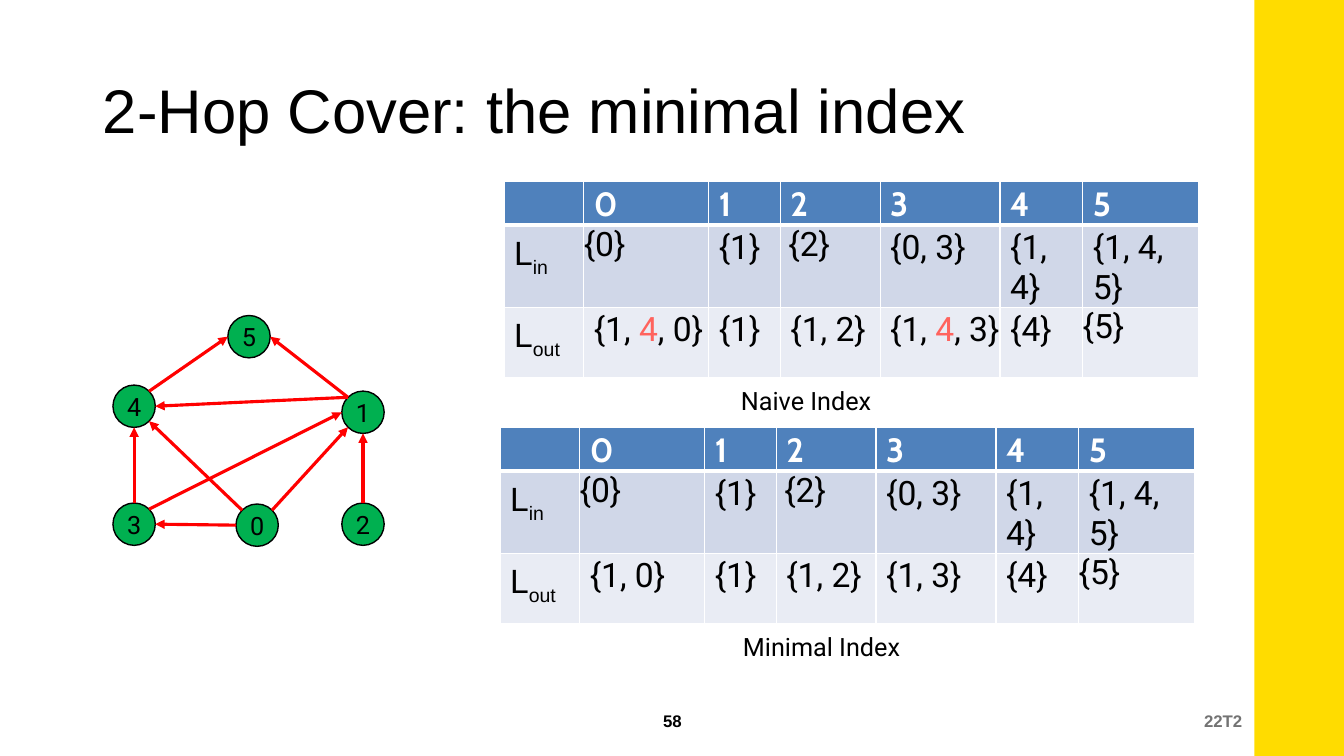
import math
from dataclasses import dataclass
from typing import NamedTuple

from lxml import etree
from pptx import Presentation
from pptx.dml import color
from pptx.enum import shapes, text
from pptx.oxml import ns

PX = 9144
PT = 12700


@dataclass(frozen=True)
class Theme:
    yellow: str = "FFDC00"
    grey: str = "737373"
    black: str = "000000"
    white: str = "FFFFFF"
    green: str = "00B050"
    red: str = "FF0000"
    accent: str = "FF635D"
    header: str = "4F81BC"
    band_in: str = "D0D7E8"
    band_out: str = "E9ECF4"
    sans: str = "Arial"
    body: str = "Roboto"
    heading: str = "Cabin"
    title_size: int = 44
    table_size: int = 24
    label_size: int = 18
    footer_size: int = 12


T = Theme()


class Run(NamedTuple):
    text: str
    font: str = T.body
    size: int = T.table_size
    color: str = T.black
    bold: bool = False
    baseline: int = 0


class Box(NamedTuple):
    left: int
    top: int
    width: int
    height: int

    def emu(self) -> list[int]:
        return [v * PX for v in self]


class Cell(NamedTuple):
    runs: list[Run]
    left: int = 10
    top: int = 3


class Label(NamedTuple):
    run: Run
    box: Box
    align: text.PP_ALIGN
    anchor: text.MSO_ANCHOR


class Index(NamedTuple):
    box: Box
    out_0: list[Run]
    out_3: list[Run]


class Node(NamedTuple):
    left: int
    top: int

    def site(self, k: int) -> tuple[int, int]:
        angle = math.radians(90 + 45 * k)
        r = DIAMETER / 2
        return (round((self.left + r + r * math.cos(angle)) * PX),
                round((self.top + r - r * math.sin(angle)) * PX))


class Edge(NamedTuple):
    start: int
    start_site: int
    end: int
    end_site: int


DIAMETER = 42
TOP, TOP_LEFT, LEFT, BOTTOM_LEFT, BOTTOM, BOTTOM_RIGHT, RIGHT, TOP_RIGHT = range(8)
NODES = [Node(234, 500), Node(339, 388), Node(339, 499),
         Node(112, 499), Node(112, 382), Node(226, 313)]
EDGES = [
    Edge(0, LEFT, 3, RIGHT),
    Edge(0, TOP_LEFT, 4, BOTTOM_RIGHT),
    Edge(0, TOP_RIGHT, 1, BOTTOM_LEFT),
    Edge(1, TOP_LEFT, 4, RIGHT),
    Edge(1, TOP_LEFT, 5, RIGHT),
    Edge(2, TOP, 1, BOTTOM),
    Edge(3, TOP, 4, BOTTOM),
    Edge(3, TOP_RIGHT, 1, LEFT),
    Edge(4, TOP_RIGHT, 5, LEFT),
]
COLUMNS = [79, 124, 71, 99, 119, 82, 115]
ROWS = [40, 52, 70]
FILLS = [T.header, T.band_in, T.band_out]
BORDERS = [(1, 3), (3, 1), (1, 1)]


def marked(end: str) -> list[Run]:
    return [Run("{1, "), Run("4", color=T.accent), Run(f", {end}}}")]


INDEXES = [
    Index(Box(500, 180, 690, 162), marked("0"), marked("3")),
    Index(Box(496, 424, 690, 162), [Run("{1, 0}")], [Run("{1, 3}")]),
]
LABELS = [
    Label(Run("22T2", T.sans, T.footer_size, T.grey, True), Box(792, 695, 450, 40),
          text.PP_ALIGN.RIGHT, text.MSO_ANCHOR.MIDDLE),
    Label(Run("58", T.sans, T.footer_size, bold=True), Box(517, 695, 300, 40),
          text.PP_ALIGN.CENTER, text.MSO_ANCHOR.MIDDLE),
    Label(Run("Naive Index", size=T.label_size), Box(725, 377, 401, 40),
          text.PP_ALIGN.LEFT, text.MSO_ANCHOR.TOP),
    Label(Run("Minimal Index", size=T.label_size), Box(727, 621, 401, 40),
          text.PP_ALIGN.LEFT, text.MSO_ANCHOR.TOP),
]


def rgb(value: str) -> color.RGBColor:
    return color.RGBColor.from_string(value)


def add_run(p, run: Run) -> None:
    r = p.add_run()
    r.text = run.text
    r.font.name, r.font.size, r.font.bold = run.font, run.size * PT, run.bold
    r.font.color.rgb = rgb(run.color)
    if run.baseline:
        r.font._element.set("baseline", str(run.baseline * 1000))


def add_label(s, label: Label) -> None:
    tf = s.shapes.add_textbox(*label.box.emu()).text_frame
    tf.word_wrap = True
    tf.vertical_anchor = label.anchor
    p = tf.paragraphs[0]
    p.alignment = label.align
    add_run(p, label.run)


def add_title(s, run: Run, box: Box) -> None:
    sp = s.shapes.title
    sp.left, sp.top, sp.width, sp.height = box.emu()
    tf = sp.text_frame
    tf.auto_size = text.MSO_AUTO_SIZE.NONE
    tf.vertical_anchor = text.MSO_ANCHOR.MIDDLE
    p = tf.paragraphs[0]
    p.alignment = text.PP_ALIGN.LEFT
    p.line_spacing = 0.9
    add_run(p, run)


def add_shape(s, kind: shapes.MSO_SHAPE, box: Box, fill: str):
    sp = s.shapes.add_shape(kind, *box.emu())
    sp.shadow.inherit = False
    sp.fill.solid()
    sp.fill.fore_color.rgb = rgb(fill)
    sp.line.fill.background()
    return sp


def add_node(s, name: int, node: Node) -> None:
    sp = add_shape(s, shapes.MSO_SHAPE.OVAL, Box(*node, DIAMETER, DIAMETER), T.green)
    sp.line.color.rgb = rgb(T.black)
    sp.line.width = PT
    tf = sp.text_frame
    tf.margin_left = tf.margin_right = tf.margin_top = tf.margin_bottom = 0
    tf.vertical_anchor = text.MSO_ANCHOR.MIDDLE
    p = tf.paragraphs[0]
    p.alignment = text.PP_ALIGN.CENTER
    add_run(p, Run(str(name), size=T.label_size))


def add_edge(s, edge: Edge) -> None:
    sp = s.shapes.add_connector(
        shapes.MSO_CONNECTOR.STRAIGHT,
        *NODES[edge.start].site(edge.start_site), *NODES[edge.end].site(edge.end_site))
    sp.line.color.rgb = rgb(T.red)
    sp.line.width = round(2.25 * PT)
    sp_pr = sp._element.spPr
    etree.SubElement(sp_pr.find(ns.qn("a:ln")), ns.qn("a:tailEnd"), type="triangle")
    etree.SubElement(sp_pr, ns.qn("a:effectLst"))


def set_borders(cell, top: int, bottom: int) -> None:
    tc_pr = cell._tc.get_or_add_tcPr()
    for i, (side, width) in enumerate(zip("LRTB", (1, 1, top, bottom))):
        ln = etree.Element(ns.qn(f"a:ln{side}"), w=str(width * PT))
        fill = etree.SubElement(ln, ns.qn("a:solidFill"))
        etree.SubElement(fill, ns.qn("a:srgbClr"), val=T.white)
        tc_pr.insert(i, ln)


def name_cell(sub: str) -> Cell:
    return Cell([Run("L", T.sans), Run(sub, T.sans, baseline=-25)], top=10)


def set_cell(cell, content: Cell, row: int) -> None:
    cell.margin_left, cell.margin_top = content.left * PX, content.top * PX
    cell.margin_right = cell.margin_bottom = 0
    cell.fill.solid()
    cell.fill.fore_color.rgb = rgb(FILLS[row])
    set_borders(cell, *BORDERS[row])
    for run in content.runs:
        add_run(cell.text_frame.paragraphs[0], run)


def add_index(s, index: Index) -> None:
    header = [Cell([])] + [
        Cell([Run(str(n), T.heading, color=T.white, bold=True)]) for n in range(len(NODES))]
    l_in = [name_cell("in"), Cell([Run("{0}")], 0, 0), Cell([Run("{1}")]),
            Cell([Run("{2}")], 8, 0)]
    l_in += [Cell([Run(t)]) for t in ("{0, 3}", "{1, 4}", "{1, 4, 5}")]
    l_out = [name_cell("out"), Cell(index.out_0), Cell([Run("{1}")]), Cell([Run("{1, 2}")]),
             Cell(index.out_3), Cell([Run("{4}")]), Cell([Run("{5}")], 0, 0)]
    table = s.shapes.add_table(len(ROWS), len(COLUMNS), *index.box.emu()).table
    table.horz_banding = False
    for column, width in zip(table.columns, COLUMNS):
        column.width = width * PX
    for i, cells in enumerate((header, l_in, l_out)):
        table.rows[i].height = ROWS[i] * PX
        for j, content in enumerate(cells):
            set_cell(table.cell(i, j), content, i)


def main() -> None:
    prs = Presentation()
    prs.slide_width, prs.slide_height = 1333 * PX, 750 * PX
    s = prs.slides.add_slide(prs.slide_layouts[5])
    add_title(s, Run("2-Hop Cover: the minimal index", T.sans, T.title_size),
              Box(92, 40, 1150, 145))
    add_shape(s, shapes.MSO_SHAPE.RECTANGLE, Box(1244, 0, 89, 750), T.yellow)
    for name, node in enumerate(NODES):
        add_node(s, name, node)
    for edge in EDGES:
        add_edge(s, edge)
    for index in INDEXES:
        add_index(s, index)
    for label in LABELS:
        add_label(s, label)
    prs.save("out.pptx")


if __name__ == "__main__":
    main()
